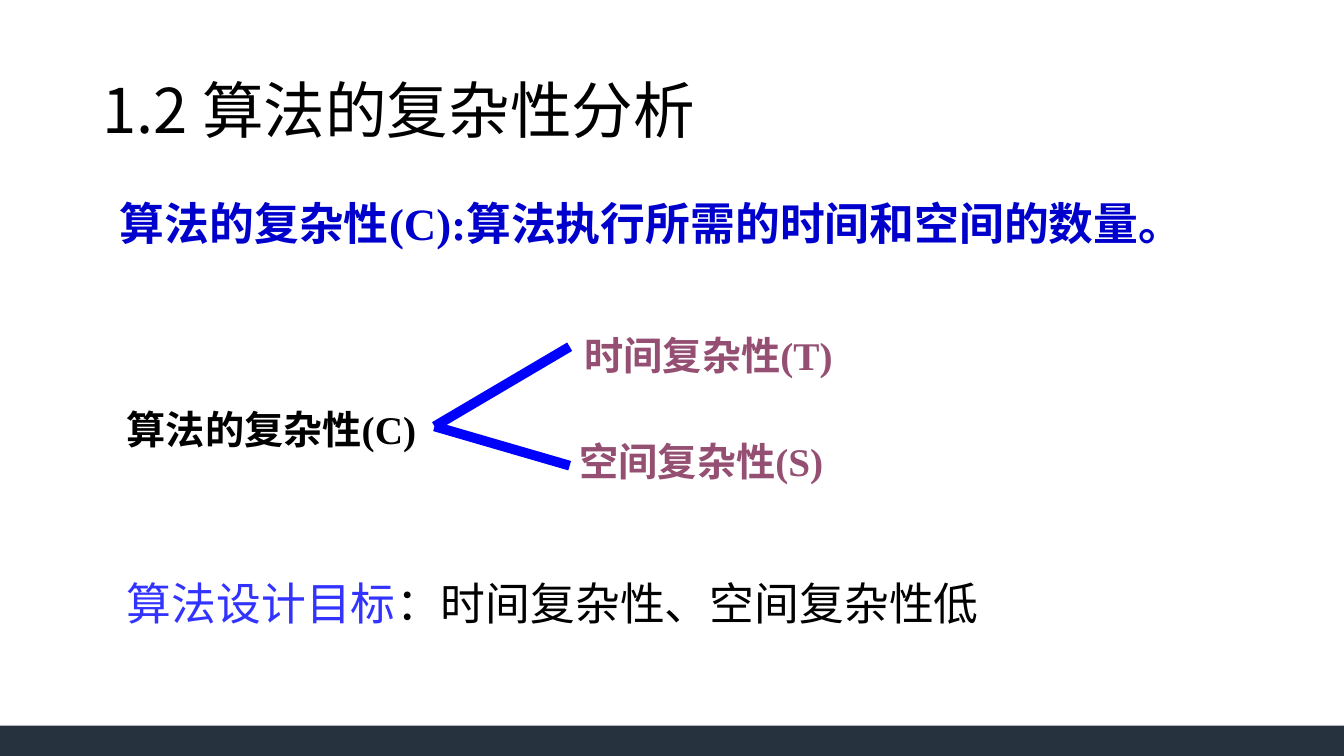
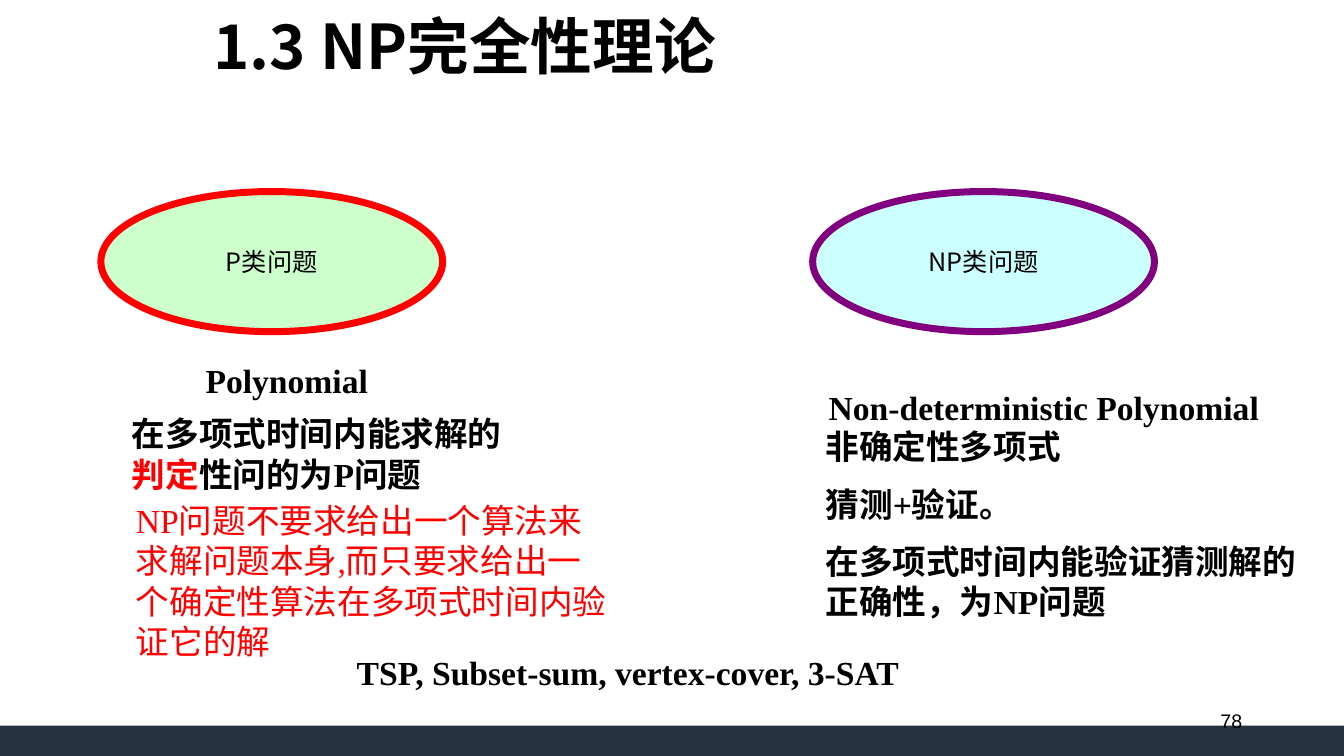
"""Build two slides on algorithm complexity and NP-completeness."""
import pptx
import pptx.dml.color
import pptx.enum.shapes
import pptx.enum.text
import pptx.util
from lxml import etree

Inches = pptx.util.Inches
Pt = pptx.util.Pt
RGB = pptx.dml.color.RGBColor
Align = pptx.enum.text.PP_ALIGN
Anchor = pptx.enum.text.MSO_ANCHOR
Shape = pptx.enum.shapes.MSO_SHAPE

BLACK = RGB(0x00, 0x00, 0x00)
WHITE = RGB(0xFF, 0xFF, 0xFF)
SLATE = RGB(0x26, 0x32, 0x3E)
NAVY = RGB(0x00, 0x00, 0xCC)
BLUE = RGB(0x00, 0x00, 0xFF)
INDIGO = RGB(0x33, 0x33, 0xFF)
MAUVE = RGB(0x95, 0x4F, 0x72)
RED = RGB(0xFF, 0x00, 0x00)
PURPLE = RGB(0x80, 0x00, 0x80)
MINT = RGB(0xCC, 0xFF, 0xCC)
AQUA = RGB(0xCC, 0xFF, 0xFF)

SANS = "Noto Sans CJK SC"
SERIF = "Times New Roman"
ARIAL = "Arial"
DML = "http://schemas.openxmlformats.org/drawingml/2006/main"

COST = {
    "title": ("1.2 算法的复杂性分析", (0.92, 0.4, 11.5, 1.45), False),
    "boxes": [
        ((1.09, 1.79, 10.88, 1.45),
         [[("算法的复杂性", {}), ("(C):", {"face": SERIF}),
           ("算法执行所需的时间和空间的数量。", {})]],
         {"size": 32, "bold": True, "face": SANS, "color": NAVY, "lead": 1.2}),
        ((1.16, 3.74, 3.47, 0.8),
         [[("算法的复杂性", {}), ("(C)", {"face": SERIF})]],
         {"size": 28, "bold": True, "face": SANS, "lead": 1.5}),
        ((5.7, 3.24, 3.17, 0.57), ["时间复杂性(T)"],
         {"size": 28, "bold": True, "color": MAUVE}),
        ((5.65, 4.29, 3.23, 0.57), ["空间复杂性(S)"],
         {"size": 28, "bold": True, "color": MAUVE}),
        ((1.16, 5.4, 8.73, 0.81),
         [[("算法设计目标", {"color": INDIGO}),
           ("：时间复杂性、空间复杂性低", {})]],
         {"size": 32, "face": SANS, "lead": 1.5, "wrap": False}),
    ],
}
FORK = (4.31, 4.23)
TIPS = [(5.65, 3.44), (5.65, 4.62)]

BOLD = {"size": 24, "bold": True}
THEORY = {
    "title": ("1.3 NP完全性理论", (2.02, 0.08, 5.98, 0.83), True),
    "boxes": [
        ((9.42, 6.95, 3, 0.4), ["78"],
         {"size": 14, "face": ARIAL, "align": Align.RIGHT,
          "anchor": Anchor.MIDDLE}),
        ((8.12, 3.79, 4.58, 0.5), ["Non-deterministic Polynomial"], BOLD),
        ((3.44, 6.42, 5.74, 0.5),
         ["TSP, Subset-sum, vertex-cover, 3-SAT"], BOLD),
        ((1.94, 3.52, 2.01, 0.5), ["Polynomial"], BOLD),
        ((1.21, 4.05, 3.94, 0.91),
         [[("在多项式时间内能求解的", {}), ("判定", {"color": RED}),
           ("性问的为P问题", {})]], BOLD),
        ((8.09, 4.18, 4.94, 2.12),
         ["非确定性多项式", "猜测+验证。",
          "在多项式时间内能验证猜测解的正确性，为NP问题"], BOLD),
        ((1.25, 4.91, 4.94, 1.72),
         ["NP问题不要求给出一个算法来求解问题本身,而只要求给出一个"
          "确定性算法在多项式时间内验证它的解"],
         {"size": 24, "color": RED}),
    ],
}
OVALS = [("P类问题", 1, MINT, RED), ("NP类问题", 8.06, AQUA, PURPLE)]


def style(font, face=None, color=None):
    """Set the face and colour of a font, with one face for Chinese."""
    if color is not None:
        font.color.rgb = color
    if face:
        font.name = face
        latin = font._element.find(f"{{{DML}}}latin")
        wide = etree.Element(f"{{{DML}}}ea", typeface=SANS)
        latin.addnext(wide)


def write(frame, paras, size, bold=False, face=SERIF, color=BLACK, lead=None,
          align=Align.LEFT, anchor=Anchor.TOP, wrap=True):
    """Fill a text frame with paragraphs of plain text or styled runs."""
    frame.word_wrap = wrap
    frame.vertical_anchor = anchor
    for spot, item in enumerate(paras):
        para = frame.add_paragraph() if spot else frame.paragraphs[0]
        para.alignment = align
        if lead:
            para.line_spacing = lead
        if spot:
            para.space_before = Pt(size / 2)
        para.font.size = Pt(size)
        para.font.bold = bold
        style(para.font, face, color)
        for text, diff in [(item, {})] if isinstance(item, str) else item:
            run = para.add_run()
            run.text = text
            style(run.font, **diff)


def add_box(slide, at, paras, look):
    """Add a text box."""
    box = slide.shapes.add_textbox(*map(Inches, at))
    write(box.text_frame, paras, **look)


def add_form(slide, kind, at, fill, edge=None):
    """Add a flat filled shape, with a thick outline if asked."""
    form = slide.shapes.add_shape(kind, *map(Inches, at))
    form.shadow.inherit = False
    form.fill.solid()
    form.fill.fore_color.rgb = fill
    if edge is None:
        form.line.fill.background()
    else:
        form.line.color.rgb = edge
        form.line.width = Pt(5)
    return form


def add_page(deck, page):
    """Add a slide with the shared band, its title and its text boxes."""
    slide = deck.slides.add_slide(deck.slide_layouts[6])
    slide.background.fill.solid()
    slide.background.fill.fore_color.rgb = WHITE
    add_form(slide, Shape.RECTANGLE, (0, 7.2, 13.33, 0.3), SLATE)
    title, at, bold = page["title"]
    add_box(slide, at, [title], {"size": 44, "bold": bold, "face": SANS,
                                 "lead": 0.9, "anchor": Anchor.MIDDLE})
    for box in page["boxes"]:
        add_box(slide, *box)
    return slide


def main():
    """Build and save the deck."""
    deck = pptx.Presentation()
    deck.slide_width = Inches(13.33)
    deck.slide_height = Inches(7.5)

    slide = add_page(deck, COST)
    for tip in TIPS:
        line = slide.shapes.add_connector(
            pptx.enum.shapes.MSO_CONNECTOR.STRAIGHT, *map(Inches, FORK + tip))
        line.line.color.rgb = BLUE
        line.line.width = Pt(7)
        etree.SubElement(line._element.spPr, f"{{{DML}}}effectLst")

    slide = add_page(deck, THEORY)
    for name, left, fill, edge in OVALS:
        oval = add_form(slide, Shape.OVAL, (left, 1.9, 3.39, 1.39), fill, edge)
        write(oval.text_frame, [name], 18, face=SANS, align=Align.CENTER,
              anchor=Anchor.MIDDLE)

    deck.save("out.pptx")


if __name__ == "__main__":
    main()
